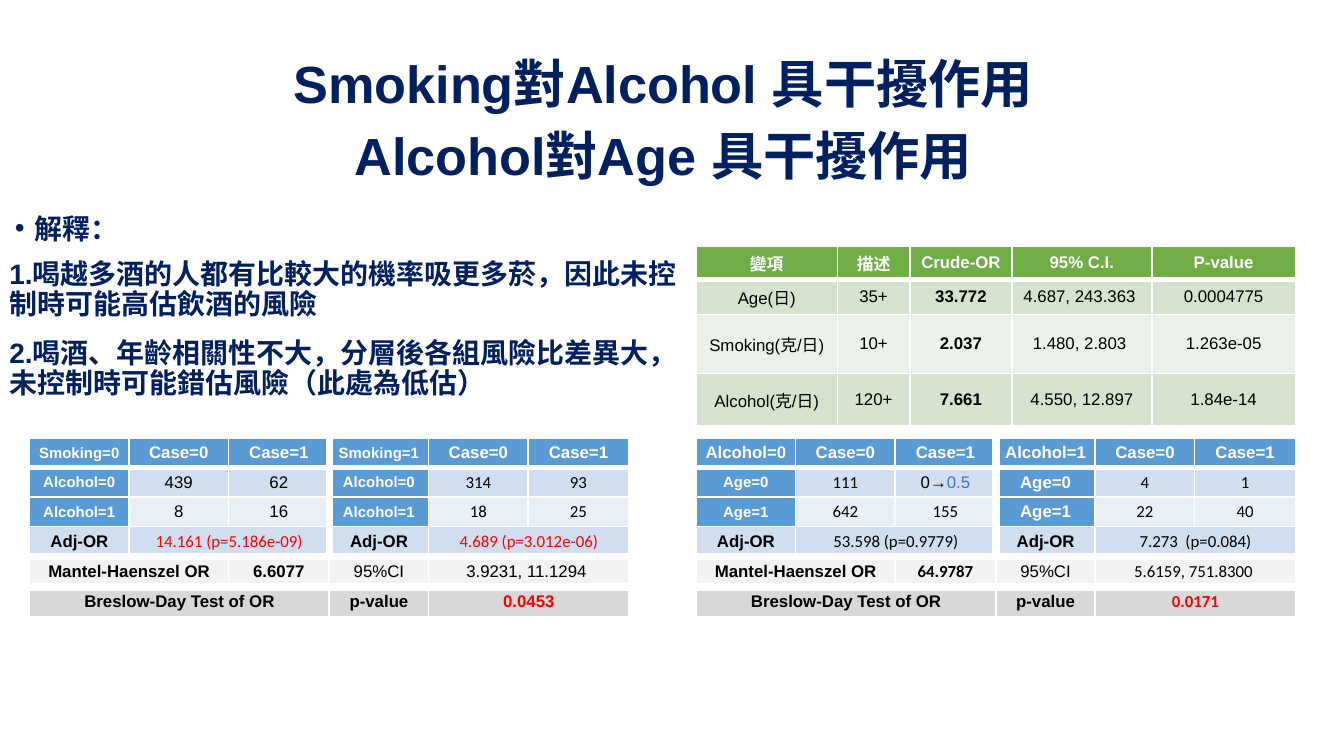
"""Build the slide on confounding between smoking, alcohol and age."""
from lxml.etree import SubElement
from pptx import Presentation
from pptx.dml.color import RGBColor
from pptx.enum.text import MSO_ANCHOR, PP_ALIGN
from pptx.oxml.ns import qn
from pptx.util import Inches, Pt

NAVY = RGBColor(0x00, 0x20, 0x60)
WHITE = RGBColor(0xFF, 0xFF, 0xFF)
BLACK = RGBColor(0x00, 0x00, 0x00)
RED = RGBColor(0xFF, 0x00, 0x00)
LINK = RGBColor(0x44, 0x72, 0xC4)
BLUE = RGBColor(0x5B, 0x9B, 0xD5)
PALE = RGBColor(0xD0, 0xDE, 0xEF)
ICE = RGBColor(0xE9, 0xEF, 0xF7)
LIGHT = RGBColor(0xF2, 0xF2, 0xF2)
GREY = RGBColor(0xD8, 0xD8, 0xD8)
GREEN = RGBColor(0x70, 0xAD, 0x47)
SAGE = RGBColor(0xD4, 0xE2, 0xCE)
MIST = RGBColor(0xEB, 0xF1, 0xE8)

STYLES = {
    "H": (9, "Arial", WHITE, True),
    "h": (8, "Arial", WHITE, True),
    "B": (9, "Arial", BLACK, True),
    "a": (9, "Arial", BLACK, False),
    "k": (9, "Arial", LINK, False),
    "c": (9, "Calibri", BLACK, False),
    "C": (9, "Calibri", BLACK, True),
    "r": (9, "Calibri", RED, False),
    "R": (9, "Arial", RED, True),
    "Q": (9, "Calibri", RED, True),
}


def style(font, size, name, color, bold):
    font.size = Pt(size)
    font.name = name
    font.color.rgb = color
    font.bold = bold


def fill_cell(cell, text, fill, pad, edges):
    cell.margin_left = cell.margin_right = Inches(pad[0])
    cell.margin_top = cell.margin_bottom = Inches(pad[1])
    cell.vertical_anchor = MSO_ANCHOR.MIDDLE
    props = cell._tc.get_or_add_tcPr()
    for side in "LRTB":
        line = SubElement(props, qn("a:ln" + side), w=str(Pt(edges.get(side, 1))))
        solid = SubElement(line, qn("a:solidFill"))
        SubElement(solid, qn("a:srgbClr"), val=str(WHITE))
    cell.fill.solid()
    cell.fill.fore_color.rgb = fill
    para = cell.text_frame.paragraphs[0]
    para.alignment = PP_ALIGN.CENTER
    parts = (text or "a").split("|")
    style(para.font, *STYLES[parts[0][0]])
    for part in parts:
        if part[1:]:
            run = para.add_run()
            run.text = part[1:]
            if len(parts) > 1:
                style(run.font, *STYLES[part[0]])


deck = Presentation()
deck.slide_width, deck.slide_height = Inches(10), Inches(10 * 9 / 16)
slide = deck.slides.add_slide(deck.slide_layouts[6])

texts = [
    ((0.22, 0.3, 9.43, 1.09), MSO_ANCHOR.MIDDLE, PP_ALIGN.CENTER, 28, 1.15, [
        ("Smoking對Alcohol 具干擾作用", 0),
        ("Alcohol對Age 具干擾作用", 0),
    ]),
    ((0, 1.56, 5.25, 3.57), MSO_ANCHOR.TOP, PP_ALIGN.LEFT, 15, 0.9, [
        ("解釋：", 8),
        ("1.喝越多酒的人都有比較大的機率吸更多菸，因此未控制時可能高估飲酒的風險", 8),
        ("2.喝酒、年齡相關性不大，分層後各組風險比差異大，未控制時可能錯估風險（此處為低估）", 10),
    ]),
]
for place, anchor, align, size, space, lines in texts:
    frame = slide.shapes.add_textbox(*map(Inches, place)).text_frame
    frame.word_wrap = True
    frame.vertical_anchor = anchor
    frame.margin_left = frame.margin_right = Inches(0.07)
    frame.margin_top = frame.margin_bottom = Inches(0.04)
    for i, (text, gap) in enumerate(lines):
        para = frame.paragraphs[0] if i == 0 else frame.add_paragraph()
        para.text = text
        para.alignment = align
        para.line_spacing = space
        para.space_before = Pt(gap)
        if text == "解釋：":
            props = para._p.get_or_add_pPr()
            props.set("marL", str(Inches(0.19)))
            props.set("indent", str(Inches(-0.15)))
            tint = SubElement(props, qn("a:buClr"))
            SubElement(tint, qn("a:srgbClr"), val=str(NAVY))
            SubElement(props, qn("a:buFont"), typeface="Arial")
            SubElement(props, qn("a:buChar"), char="•")
        style(para.font, size, "Arial", NAVY, True)

age = [
    ["HAlcohol=0", "HCase=0", "HCase=1", "HAlcohol=1", "HCase=0", "HCase=1"],
    ["hAge=0", "c111", "a0→|k0.5", "HAge=0", "c4", "c1"],
    ["hAge=1", "c642", "c155", "HAge=1", "c22", "c40"],
    ["BAdj-OR", "c53.598 (p=0.9779)", "", "BAdj-OR", "c7.273  (p=0.084)", ""],
    ["BMantel-Haenszel OR", "", "C64.9787", "a95%CI", "c5.6159, 751.8300 ", ""],
    ["BBreslow-Day Test of OR", "", "", "Bp-value", "Q0.0171", ""],
]
smoke = [
    ["hSmoking=0", "HCase=0", "HCase=1", "hSmoking=1", "HCase=0", "HCase=1"],
    ["hAlcohol=0", "a439", "a62", "hAlcohol=0", "c314", "c93"],
    ["hAlcohol=1", "a8", "a16", "hAlcohol=1", "c18", "c25"],
    ["BAdj-OR", "r14.161 (p=5.186e-09)", "", "BAdj-OR", "r4.689 (p=3.012e-06)", ""],
    ["BMantel-Haenszel OR", "", "B6.6077", "a95%CI", "a3.9231, 11.1294 ", ""],
    ["BBreslow-Day Test of OR", "", "", "Bp-value", "R0.0453", ""],
]
crude = [
    ["H變項", "H描述", "HCrude-OR", "H95% C.I.", "HP-value"],
    ["aAge(日)", "a35+", "B33.772", "a4.687, 243.363 ", "a0.0004775"],
    ["aSmoking(克/日)", "a10+", "B2.037", "a1.480, 2.803 ", "a1.263e-05"],
    ["aAlcohol(克/日)", "a120+", "B7.661", "a4.550, 12.897", "a1.84e-14"],
]
strata = ([0.74, 0.74, 0.75] * 2, [0.22] * 4 + [0.23, 0.22], BLUE,
          [BLUE, PALE, ICE, PALE, LIGHT, GREY], (0.06, 0))
plain = ([1.05, 0.54, 0.76, 1.04, 1.07], [0.25, 0.26, 0.44, 0.39], GREEN,
         [GREEN, SAGE, MIST, SAGE], (0.08, 0.04))

for left, top, data, look in [
    (5.18, 3.26, age, strata), (0.22, 3.26, smoke, strata), (5.18, 1.83, crude, plain),
]:
    wide, high, head, fills, pad = look
    table = slide.shapes.add_table(
        len(high), len(wide), Inches(left), Inches(top),
        Inches(sum(wide)), Inches(sum(high))).table
    table.first_row = table.horz_banding = False
    for col, width in zip(table.columns, wide):
        col.width = Inches(width)
    for r, row in enumerate(data):
        table.rows[r].height = Inches(high[r])
        for c, text in enumerate(row):
            end = c + 1
            while end < len(row) and not row[end]:
                end += 1
            edges = {"B": 3} if r == 0 else {}
            if look is strata:
                if r in (3, 4):
                    edges["B"] = 4.5
                if r in (4, 5):
                    edges["T"] = 4.5
                if r < 4 and end == 3:
                    edges["R"] = 4.5
                if r < 4 and c == 3:
                    edges["L"] = 4.5
            fill = head if text[:1] in ("H", "h") else fills[r]
            inner = (0.03, 0.03) if look is plain and r == 3 and c > 1 else pad
            fill_cell(table.cell(r, c), text, fill, inner, edges)
            if text and end > c + 1:
                table.cell(r, c).merge(table.cell(r, end - 1))

deck.save("out.pptx")
